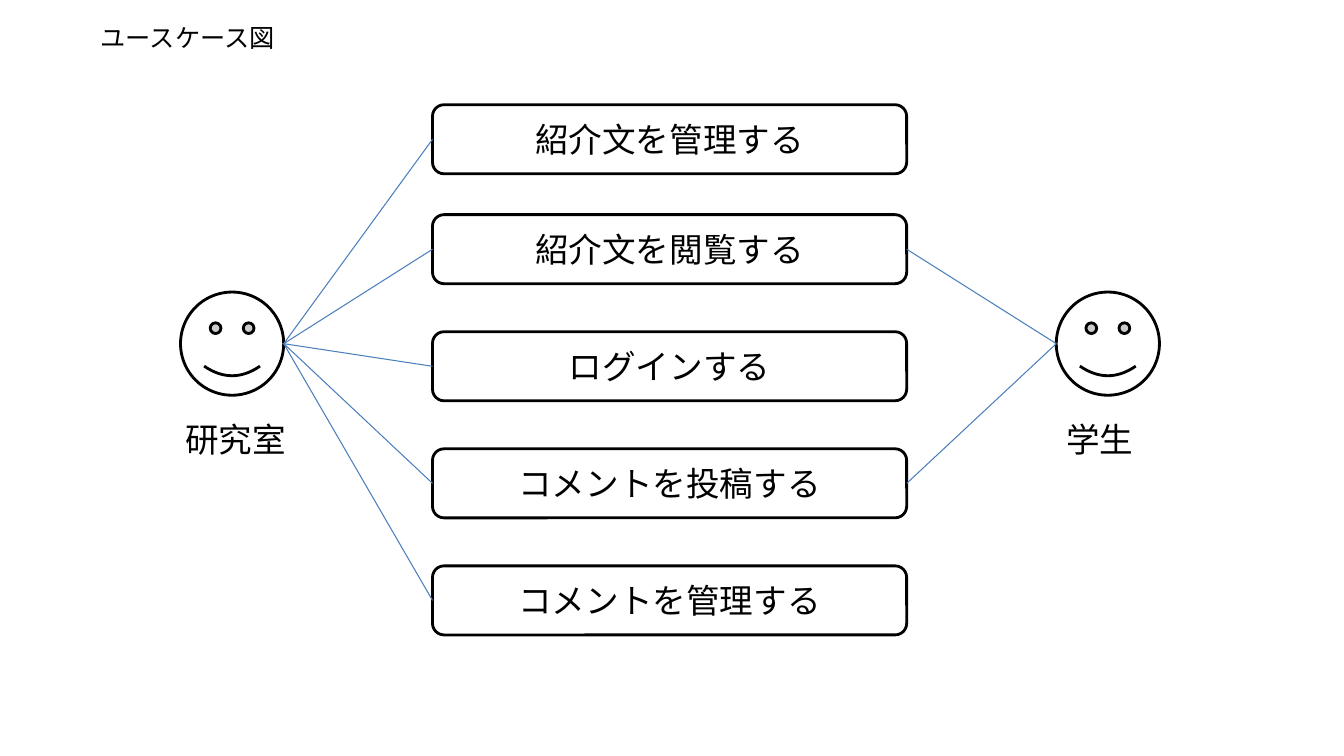
from lxml import etree
from pptx import Presentation
from pptx.dml.color import RGBColor
from pptx.enum.shapes import MSO_CONNECTOR, MSO_SHAPE
from pptx.enum.text import MSO_ANCHOR, PP_ALIGN
from pptx.oxml.ns import qn
from pptx.util import Cm, Pt

ROUNDED, SMILEY = MSO_SHAPE.ROUNDED_RECTANGLE, MSO_SHAPE.SMILEY_FACE
STRAIGHT = MSO_CONNECTOR.STRAIGHT
LEFT, CENTER = PP_ALIGN.LEFT, PP_ALIGN.CENTER
TOP, MIDDLE = MSO_ANCHOR.TOP, MSO_ANCHOR.MIDDLE
BOX_LEFT_SITE, BOX_RIGHT_SITE = 1, 3

# Content
TITLE = "ユースケース図"
USE_CASES = [
    "紹介文を管理する",
    "紹介文を閲覧する",
    "ログインする",
    "コメントを投稿する",
    "コメントを管理する",
]
ACTORS = [
    {"name": "研究室", "left": 4.55, "label_left": 4.42, "label_width": 3.73,
     "uses": [0, 1, 2, 3, 4], "box_site": BOX_LEFT_SITE},
    {"name": "学生", "left": 26.62, "label_left": 26.62, "label_width": 3.18,
     "uses": [1, 3], "box_site": BOX_RIGHT_SITE},
]

THEME = {
    "font": "Noto Sans CJK JP",
    "text": RGBColor(0, 0, 0),
    "fill": RGBColor(255, 255, 255),
    "outline": RGBColor(0, 0, 0),
    "link": RGBColor(0x4B, 0x7E, 0xBC),
    "title_size": Pt(18),
    "body_size": Pt(24),
    "outline_width": Pt(2),
    "link_width": Pt(0.75),
}

# Layout in centimetres
BOX_LEFT, BOX_WIDTH, BOX_HEIGHT = 10.9, 11.95, 1.74
FIRST_BOX_TOP, SECOND_BOX_TOP, BOX_PITCH = 2.64, 5.41, 2.95
FACE_TOP, FACE_SIZE = 7.36, 2.6
LABEL_TOP, LABEL_HEIGHT = 10.44, 1.28


def box_top(index):
    """The first box stands apart; the others follow at an equal pitch."""
    return FIRST_BOX_TOP if index == 0 else SECOND_BOX_TOP + (index - 1) * BOX_PITCH


def write(shape, text, size, alignment=LEFT, anchor=TOP):
    frame = shape.text_frame
    frame.word_wrap = True
    frame.vertical_anchor = anchor
    paragraph = frame.paragraphs[0]
    paragraph.alignment = alignment
    run = paragraph.add_run()
    run.text = text
    for attribute, value in {"name": THEME["font"], "size": size}.items():
        setattr(run.font, attribute, value)
    run.font.color.rgb = THEME["text"]
    east_asian = etree.SubElement(run.font._element, qn("a:ea"))
    east_asian.set("typeface", THEME["font"])


def add_label(left, top, width, height, text, size):
    label = slide.shapes.add_textbox(Cm(left), Cm(top), Cm(width), Cm(height))
    write(label, text, size)


def add_outlined(kind, left, top, width, height):
    shape = slide.shapes.add_shape(kind, Cm(left), Cm(top), Cm(width), Cm(height))
    shape.shadow.inherit = False
    shape.fill.solid()
    shape.fill.fore_color.rgb = THEME["fill"]
    shape.line.color.rgb = THEME["outline"]
    shape.line.width = THEME["outline_width"]
    return shape


def add_link(face, box, box_site):
    face_x = face.left + (face.width if box_site == BOX_LEFT_SITE else 0)
    face_y = face.top + face.height // 2
    link = slide.shapes.add_connector(STRAIGHT, face_x, face_y, box.left, box.top)
    link.end_connect(box, box_site)
    link.line.color.rgb = THEME["link"]
    link.line.width = THEME["link_width"]
    etree.SubElement(link._element.spPr, qn("a:effectLst"))


presentation = Presentation()
presentation.slide_width, presentation.slide_height = Cm(33.87), Cm(19.05)
slide = presentation.slides.add_slide(presentation.slide_layouts[6])

# Title
add_label(2.29, 0.43, 27.81, 1.03, TITLE, THEME["title_size"])

# Use cases
boxes = []
for index, use_case in enumerate(USE_CASES):
    box = add_outlined(ROUNDED, BOX_LEFT, box_top(index), BOX_WIDTH, BOX_HEIGHT)
    write(box, use_case, THEME["body_size"], CENTER, MIDDLE)
    boxes.append(box)

# Actors and their links
for actor in ACTORS:
    face = add_outlined(SMILEY, actor["left"], FACE_TOP, FACE_SIZE, FACE_SIZE)
    add_label(actor["label_left"], LABEL_TOP, actor["label_width"], LABEL_HEIGHT,
              actor["name"], THEME["body_size"])
    for index in actor["uses"]:
        add_link(face, boxes[index], actor["box_site"])

presentation.save("out.pptx")
